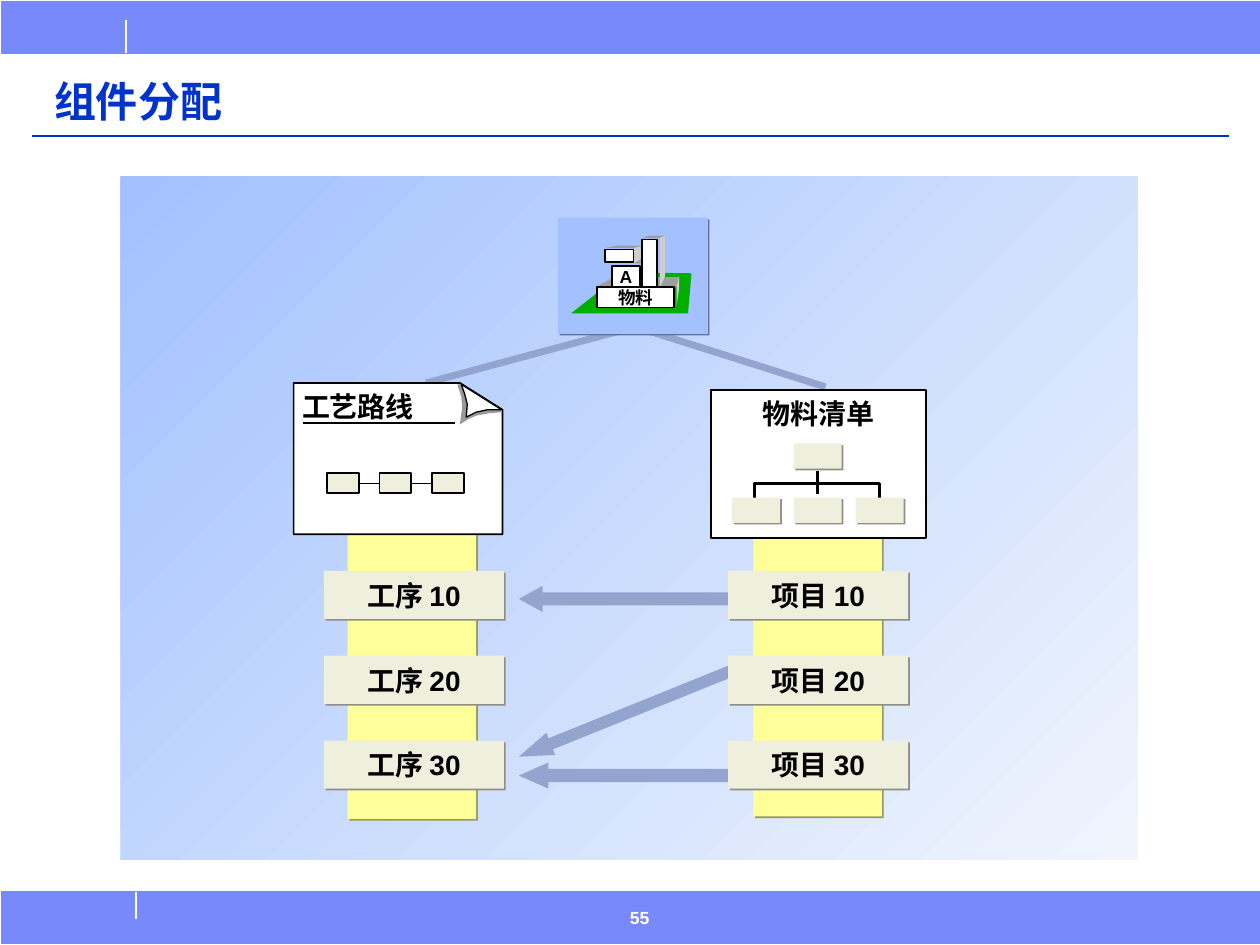
from lxml import etree
from pptx import Presentation
from pptx.dml.color import RGBColor
from pptx.enum.shapes import MSO_CONNECTOR, MSO_SHAPE
from pptx.enum.text import MSO_ANCHOR, PP_ALIGN
from pptx.oxml.ns import qn
from pptx.util import Cm, Pt

RECTANGLE = MSO_SHAPE.RECTANGLE
LEFT_ARROW = MSO_SHAPE.LEFT_ARROW
STRAIGHT = MSO_CONNECTOR.STRAIGHT
LEFT, CENTER = PP_ALIGN.LEFT, PP_ALIGN.CENTER
TOP, MIDDLE, BOTTOM = MSO_ANCHOR.TOP, MSO_ANCHOR.MIDDLE, MSO_ANCHOR.BOTTOM

WHITE, BLACK, BLUE = "FFFFFF", "000000", "0033CC"
BAND, SKY, STEEL = "7889FB", "A2C1FE", "93A4CF"
YELLOW, CREAM = "FFFF99", "EFEFDE"
CREAM_SHADOW, YELLOW_SHADOW, SKY_SHADOW = "8E8E84", "98985B", "607397"
GREY, LIGHT_GREY = "9E9E9E", "CECECE"
color = RGBColor.from_string

presentation = Presentation()
presentation.slide_width = Cm(25.4)
presentation.slide_height = Cm(19.05)
slide = presentation.slides.add_slide(presentation.slide_layouts[6])
shapes = slide.shapes


def add_box(left, top, width, height, fill=None, line=None, shadow=None, text=None, size=16,
            text_color=BLACK, font="Arial", align=CENTER, anchor=MIDDLE, wrap=False, kind=RECTANGLE):
    place = Cm(left), Cm(top), Cm(width), Cm(height)
    if fill:
        shape = shapes.add_shape(kind, *place)
        shape.fill.solid()
        shape.fill.fore_color.rgb = color(fill)
        shape.shadow.inherit = False
        if line:
            shape.line.color.rgb = color(line)
            shape.line.width = Pt(1)
        else:
            shape.line.fill.background()
    else:
        shape = shapes.add_textbox(*place)
    if shadow:
        effects = shape._element.spPr.find(qn("a:effectLst"))
        outer = etree.SubElement(effects, qn("a:outerShdw"), dist="17780", dir="2700000", algn="ctr", rotWithShape="0")
        etree.SubElement(outer, qn("a:srgbClr"), val=shadow)
    if text:
        frame = shape.text_frame
        frame.word_wrap = wrap
        frame.vertical_anchor = anchor
        paragraph = frame.paragraphs[0]
        paragraph.alignment = align
        run = paragraph.add_run()
        run.text = text
        run.font.name = font
        run.font.size = Pt(size)
        run.font.bold = True
        run.font.color.rgb = color(text_color)
    return shape


def add_line(start_x, start_y, end_x, end_y, line, width):
    connector = shapes.add_connector(STRAIGHT, Cm(start_x), Cm(start_y), Cm(end_x), Cm(end_y))
    connector.line.color.rgb = color(line)
    connector.line.width = Pt(width)
    etree.SubElement(connector._element.spPr, qn("a:effectLst"))


for band_top in (0.03, 17.98):
    add_box(0.03, band_top, 25.37, 1.04, BAND, BAND)
add_line(2.54, 0.41, 2.54, 1.07, WHITE, 1)
add_line(2.74, 17.98, 2.74, 18.52, WHITE, 1)
add_line(0.64, 2.74, 24.77, 2.74, BLUE, 1)
add_box(0.84, 1.27, 23.32, 1.4, text="组件分配", size=24, text_color=BLUE,
        font="Noto Sans CJK SC", align=LEFT, anchor=BOTTOM, wrap=True)

backdrop = add_box(2.44, 3.56, 20.5, 13.77, SKY)
backdrop.fill.gradient()
backdrop.fill.gradient_angle = 135
for stop, stop_color in zip(backdrop.fill.gradient_stops, ("F0F5FD", SKY)):
    stop.color.rgb = color(stop_color)

add_line(12.57, 6.65, 8.59, 7.72, STEEL, 4)
add_line(12.85, 6.6, 16.64, 7.8, STEEL, 4)
add_box(11.25, 4.39, 3.02, 2.34, SKY, shadow=SKY_SHADOW)
add_box(15.19, 10.64, 2.59, 5.82, YELLOW, shadow=YELLOW_SHADOW)
add_box(7.01, 10.64, 2.59, 5.87, YELLOW, shadow=YELLOW_SHADOW)
add_box(14.33, 7.87, 4.34, 2.97, WHITE, BLACK, text="物料清单", anchor=TOP)

outlines = [
    ("00AE00", 0, [(1394, 551), (1387, 632), (1151, 632), (1257, 549)]),
    (GREY, 0, [(1237, 559), (1201, 579), (1364, 579), (1369, 559)]),
    (LIGHT_GREY, 0, [(1364, 579), (1364, 617), (1369, 582), (1369, 556)]),
    (GREY, 0, [(1219, 500), (1280, 500), (1298, 495), (1245, 495)]),
    (LIGHT_GREY, 0, [(1278, 500), (1278, 536), (1298, 518), (1298, 495)]),
    (GREY, 0, [(1295, 521), (1278, 531), (1295, 531)]),
    (LIGHT_GREY, 0, [(1293, 533), (1293, 579), (1300, 569), (1300, 531)]),
    (GREY, 0, [(1295, 480), (1328, 480), (1341, 475), (1308, 475)]),
    (LIGHT_GREY, 0, [(1331, 480), (1331, 579), (1341, 556), (1341, 475)]),
    (WHITE, 1, [(927, 772), (592, 772), (592, 1077), (1013, 1077), (1013, 826)]),
    ("999999", 0, [(927, 856), (932, 820), (930, 800), (922, 775), (930, 775), (1011, 826),
                   (1011, 831), (986, 833), (960, 838), (942, 846)]),
    (WHITE, 0.75, [(940, 841), (942, 815), (937, 795), (930, 775), (1011, 826), (983, 826), (960, 831)]),
    (None, 2, [(1521, 1003), (1521, 975), (1773, 975), (1773, 1003)]),
]
for fill, line_width, points in outlines:
    builder = shapes.build_freeform(*points[0], scale=Cm(0.01))
    builder.add_line_segments(points[1:], close=fill is not None)
    outline = builder.convert_to_shape()
    outline.shadow.inherit = False
    if fill:
        outline.fill.solid()
        outline.fill.fore_color.rgb = color(fill)
    else:
        outline.fill.background()
    if line_width:
        outline.line.color.rgb = color(BLACK)
        outline.line.width = Pt(line_width)
    else:
        outline.line.fill.background()

add_box(12.19, 5.03, 0.58, 0.25, WHITE, BLACK)
add_box(12.34, 5.36, 0.56, 0.43, WHITE, BLACK, text="A", size=10)
add_box(12.95, 4.83, 0.3, 0.97, WHITE, BLACK)
add_box(12.04, 5.79, 1.55, 0.41, WHITE, BLACK, text="物料", size=10)

add_line(6.1, 8.53, 9.17, 8.53, BLACK, 1)
add_box(5.84, 7.72, 2.77, 0.91, text="工艺路线", align=LEFT, anchor=TOP)
for left in (6.6, 7.65, 8.71):
    add_box(left, 9.53, 0.64, 0.41, CREAM, BLACK)
for start_x, end_x in ((7.24, 7.65), (8.31, 8.69)):
    add_line(start_x, 9.75, end_x, 9.75, BLACK, 0.75)

add_line(16.48, 9.5, 16.48, 9.96, BLACK, 2)
for left, top in ((16, 8.94), (14.76, 10.03), (16, 10.03), (17.25, 10.03)):
    add_box(left, top, 0.97, 0.51, CREAM, shadow=CREAM_SHADOW)

arrows = [
    (10.29, 14.15, 4.62, 0.48, 338, 1.45),
    (10.46, 11.81, 4.24, 0.53, 0, 0.91),
    (10.46, 15.37, 4.55, 0.53, 0, 1.13),
]
for left, top, width, height, rotation, head_length in arrows:
    arrow = add_box(left, top, width, height, STEEL, kind=LEFT_ARROW)
    arrow.rotation = rotation
    arrow.adjustments[0] = 0.5
    arrow.adjustments[1] = head_length

for left, label in ((6.53, "工序"), (14.68, "项目")):
    for row in range(3):
        add_box(left, 11.51 + 1.71 * row, 3.63, 0.97, CREAM, shadow=CREAM_SHADOW,
                text=f"{label} {10 * (row + 1)}")

add_box(12.45, 18.16, 2.11, 0.89, text="55", size=10, text_color=WHITE, align=LEFT, anchor=TOP, wrap=True)

presentation.save("out.pptx")
